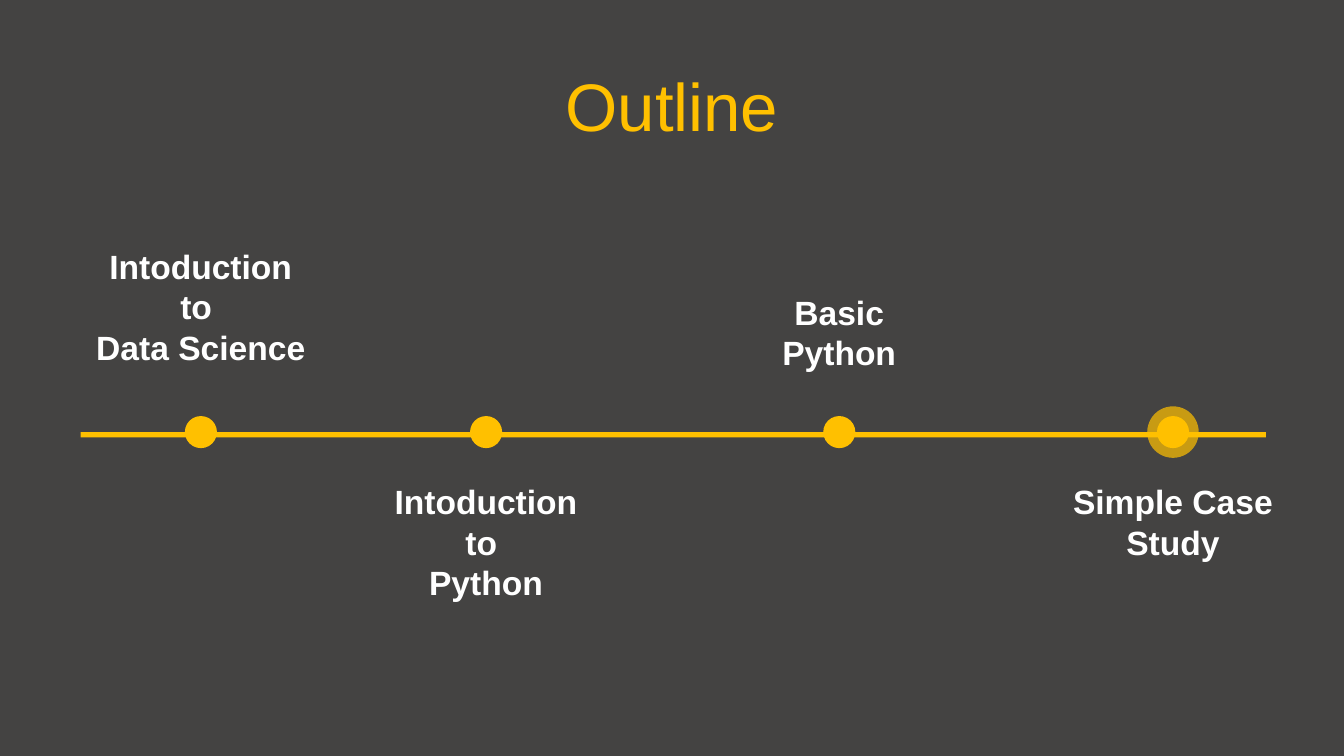
from dataclasses import dataclass

from lxml import etree
from pptx import Presentation
from pptx.dml.color import RGBColor
from pptx.enum.shapes import MSO_SHAPE
from pptx.enum.text import MSO_ANCHOR, PP_ALIGN
from pptx.oxml.ns import qn
from pptx.shapes.autoshape import Shape
from pptx.slide import Slide
from pptx.util import Pt

CIRCLE = MSO_SHAPE.OVAL
BAR = MSO_SHAPE.RECTANGLE
CENTER = PP_ALIGN.CENTER
TOP = MSO_ANCHOR.TOP
MIDDLE = MSO_ANCHOR.MIDDLE

CHARCOAL = RGBColor(0x44, 0x43, 0x42)
AMBER = RGBColor(0xFF, 0xC0, 0x00)
WHITE = RGBColor(0xFF, 0xFF, 0xFF)

FONT = "Arial"
SLIDE_WIDTH, SLIDE_HEIGHT = 720, 405
DOT_Y = 231.5
DOT_SIZE = 17.2
HALO_SIZE = 27.6
LABEL_WIDTH = 141.8
LABEL_BELOW = 254.2


@dataclass(frozen=True)
class Milestone:
    lines: tuple[str, ...]
    center: float
    label_top: float
    label_height: float
    current: bool = False


MILESTONES = (
    Milestone(("Intoduction", "to ", "Data Science"), 107.6, 128.2, 72.7),
    Milestone(("Intoduction", "to ", "Python"), 260.4, LABEL_BELOW, 72.7),
    Milestone(("Basic", "Python"), 449.6, 152.8, 51),
    Milestone(("Simple Case Study",), 628.4, LABEL_BELOW, 51, current=True),
)


def add_filled(slide: Slide, kind: MSO_SHAPE, left: float, top: float,
               width: float, height: float) -> Shape:
    shape = slide.shapes.add_shape(kind, Pt(left), Pt(top), Pt(width), Pt(height))
    shape.shadow.inherit = False
    shape.fill.solid()
    shape.fill.fore_color.rgb = AMBER
    shape.line.fill.background()
    return shape


def add_circle(slide: Slide, center: float, size: float) -> Shape:
    return add_filled(slide, CIRCLE, center - size / 2, DOT_Y - size / 2, size, size)


def set_opacity(shape: Shape, percent: int) -> None:
    color = shape.fill._xPr.find(qn("a:solidFill"))[0]
    etree.SubElement(color, qn("a:alpha")).set("val", str(percent * 1000))


def add_text(slide: Slide, lines: tuple[str, ...], left: float, top: float,
             width: float, height: float, size: float, color: RGBColor,
             bold: bool = False, anchor: MSO_ANCHOR = TOP) -> None:
    box = slide.shapes.add_textbox(Pt(left), Pt(top), Pt(width), Pt(height))
    frame = box.text_frame
    frame.word_wrap = True
    frame.vertical_anchor = anchor
    for index, line in enumerate(lines):
        paragraph = frame.add_paragraph() if index else frame.paragraphs[0]
        paragraph.alignment = CENTER
        run = paragraph.add_run()
        run.text = line
        run.font.name = FONT
        run.font.size = Pt(size)
        run.font.bold = bold
        run.font.color.rgb = color


def add_milestone(slide: Slide, milestone: Milestone) -> None:
    if milestone.current:
        halo = add_circle(slide, milestone.center, HALO_SIZE)
        set_opacity(halo, 71)
    add_circle(slide, milestone.center, DOT_SIZE)
    add_text(slide, milestone.lines, milestone.center - LABEL_WIDTH / 2,
             milestone.label_top, LABEL_WIDTH, milestone.label_height,
             18, WHITE, bold=True)


def main() -> None:
    deck = Presentation()
    deck.slide_width, deck.slide_height = Pt(SLIDE_WIDTH), Pt(SLIDE_HEIGHT)
    slide = deck.slides.add_slide(deck.slide_layouts[6])
    slide.background.fill.solid()
    slide.background.fill.fore_color.rgb = CHARCOAL

    # Title
    add_text(slide, ("Outline",), 0, 33.4, SLIDE_WIDTH, 45.4, 36, AMBER, anchor=MIDDLE)

    # Timeline
    add_filled(slide, BAR, 43.2, 231.5, 635, 2.8)
    for milestone in MILESTONES:
        add_milestone(slide, milestone)

    deck.save("out.pptx")


if __name__ == "__main__":
    main()
